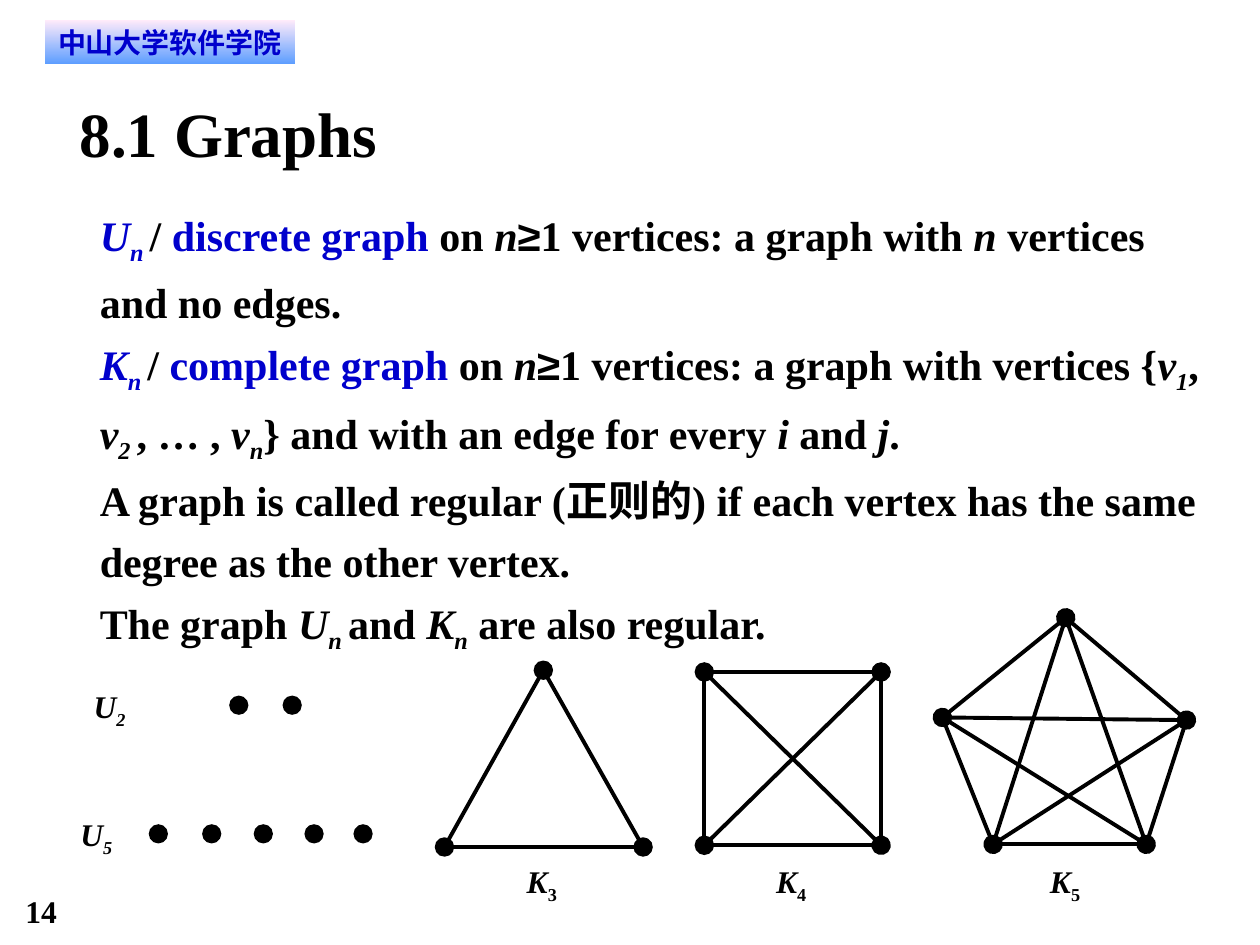
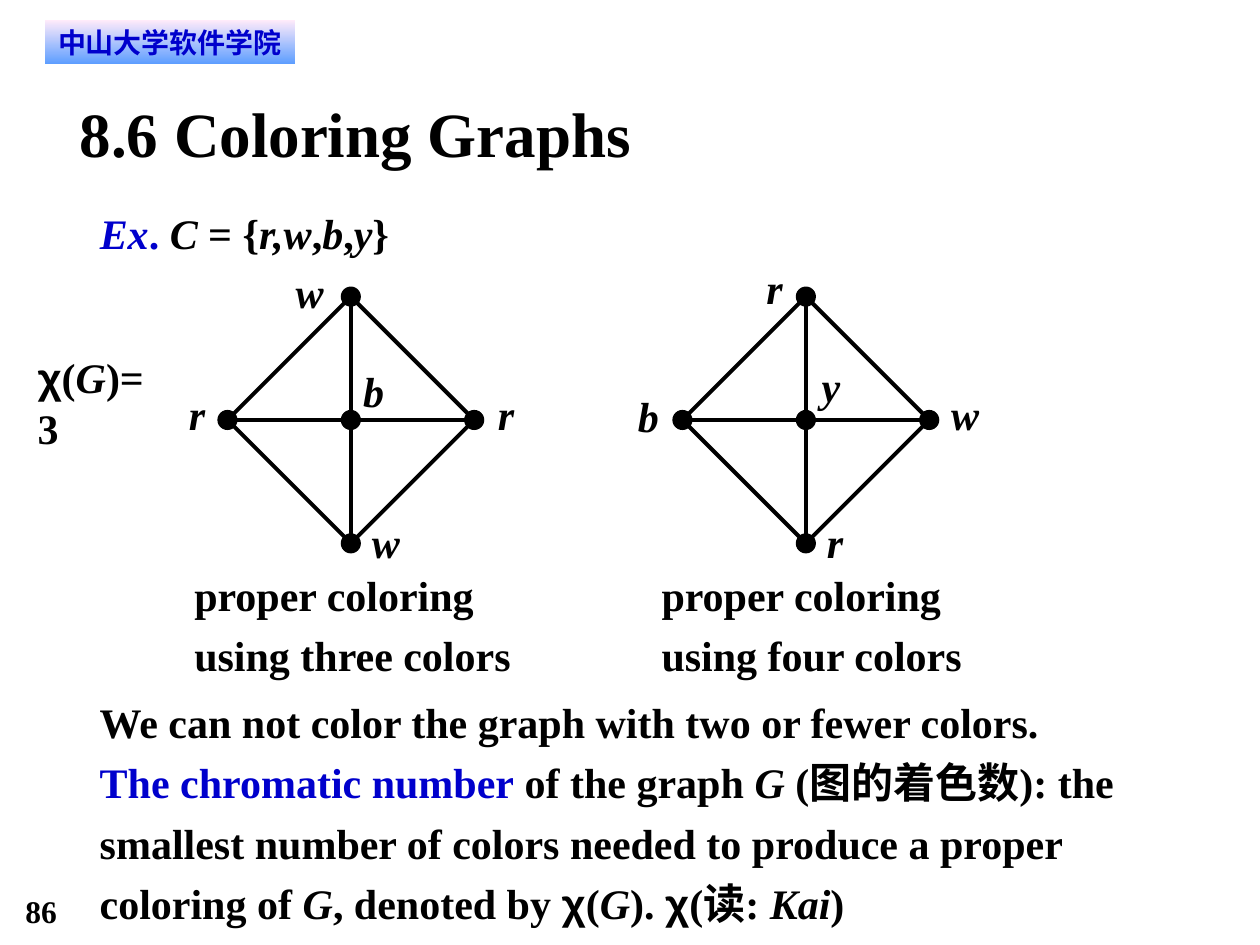
from dataclasses import dataclass
from itertools import combinations
from typing import NamedTuple

from lxml import etree
from pptx import Presentation
from pptx.dml import color
from pptx.enum import shapes, text
from pptx.oxml import ns
from pptx.util import Pt


@dataclass(frozen=True)
class Theme:
    black: color.RGBColor = color.RGBColor(0, 0, 0)
    blue: color.RGBColor = color.RGBColor(0, 0, 0xCC)
    band_top: color.RGBColor = color.RGBColor(0xFF, 0xEB, 0xFA)
    band_bottom: color.RGBColor = color.RGBColor(0x5E, 0x9E, 0xFF)
    serif: str = "Times New Roman"
    symbol: str = "Arial"
    band_font: str = "DejaVu Sans"
    title_size: int = 36
    body_size: int = 24
    small_size: int = 18
    band_size: int = 16
    edge_width: float = 2.25
    spoke_width: float = 2.5


THEME = Theme()


class Box(NamedTuple):
    left: float
    top: float
    width: float
    height: float


class Point(NamedTuple):
    x: float
    y: float


class Run(NamedTuple):
    """Flags: i italic, s subscript, b blue, a symbol font."""
    words: str
    flags: str = ""


class Line(NamedTuple):
    runs: list[Run]
    spacing: float = 1.2
    before: float = 0


class Label(NamedTuple):
    letter: str
    left: float
    top: float


class CompleteGraph(NamedTuple):
    vertices: list[Point]
    order: str
    label_left: float


class DiscreteGraph(NamedTuple):
    order: str
    label_left: float
    label_top: float
    dot_centres: list[float]
    dot_y: float


class Wheel(NamedTuple):
    centre: Point
    labels: list[Label]  # offsets from the centre
    caption: str
    caption_box: Box


# Text
def prepare_frame(shape, box: Box) -> None:
    shape.left, shape.top, shape.width, shape.height = map(Pt, box)
    frame = shape.text_frame
    frame.margin_left = frame.margin_right = frame.margin_top = frame.margin_bottom = 0
    frame.word_wrap = True
    frame.auto_size = text.MSO_AUTO_SIZE.NONE
    frame.vertical_anchor = text.MSO_ANCHOR.TOP


def add_run(paragraph, run: Run) -> None:
    for index, words in enumerate(run.words.split("\n")):
        if index:
            paragraph.add_line_break()
        piece = paragraph.add_run()
        piece.text = words
        if "i" in run.flags:
            piece.font.italic = True
        if "b" in run.flags:
            piece.font.color.rgb = THEME.blue
        if "a" in run.flags:
            piece.font.name = THEME.symbol
        if "s" in run.flags:
            piece._r.get_or_add_rPr().set("baseline", "-25000")


def write_lines(shape, lines: list[Line], size: float = THEME.body_size) -> None:
    frame = shape.text_frame
    for index, line in enumerate(lines):
        paragraph = frame.paragraphs[0] if index == 0 else frame.add_paragraph()
        paragraph.alignment = text.PP_ALIGN.LEFT
        paragraph.line_spacing = line.spacing
        paragraph.space_before = Pt(line.before)
        if shape.is_placeholder:
            properties = paragraph._p.get_or_add_pPr()
            properties.set("marL", "0")
            properties.set("indent", "0")
            etree.SubElement(properties, ns.qn("a:buNone"))
        font = paragraph.font
        font.name, font.size, font.bold = THEME.serif, Pt(size), True
        font.color.rgb = THEME.black
        for run in line.runs:
            add_run(paragraph, run)


def add_text(slide, box: Box, lines: list[Line], size: float = THEME.body_size) -> None:
    shape = slide.shapes.add_textbox(*map(Pt, box))
    prepare_frame(shape, box)
    write_lines(shape, lines, size)


def add_graph_name(slide, name: Run, order: Run, left: float, top: float) -> None:
    add_text(slide, Box(left, top, 22, 24), [Line([name, order], 1)], THEME.small_size)


# Graph parts
def add_dot(slide, centre: Point, diameter: float) -> None:
    radius = diameter / 2
    dot = slide.shapes.add_shape(shapes.MSO_SHAPE.OVAL, Pt(centre.x - radius),
                                 Pt(centre.y - radius), Pt(diameter), Pt(diameter))
    dot.shadow.inherit = False
    dot.fill.solid()
    dot.fill.fore_color.rgb = THEME.black
    dot.line.fill.background()


def add_edge(slide, start: Point, end: Point, width: float = THEME.edge_width,
             caps: tuple[str, ...] = ()) -> None:
    edge = slide.shapes.add_connector(shapes.MSO_CONNECTOR.STRAIGHT, *map(Pt, (*start, *end)))
    edge.line.width = Pt(width)
    edge.line.color.rgb = THEME.black
    properties = edge._element.spPr
    outline = properties.find(ns.qn("a:ln"))
    for cap in caps:
        etree.SubElement(outline, ns.qn(f"a:{cap}"), type="oval", w="lg", len="lg")
    etree.SubElement(properties, ns.qn("a:effectLst"))


def draw_complete(slide, graph: CompleteGraph) -> None:
    # Every pair is joined; each vertex gets its dot from the first edge that meets it
    capped: set[Point] = set()
    for start, end in combinations(graph.vertices, 2):
        caps = tuple(cap for cap, vertex in (("headEnd", start), ("tailEnd", end))
                     if vertex not in capped)
        add_edge(slide, start, end, caps=caps)
        capped.update((start, end))
    add_graph_name(slide, Run("K", "i"), Run(graph.order, "s"), graph.label_left, 492.5)


def draw_discrete(slide, graph: DiscreteGraph) -> None:
    for x in graph.dot_centres:
        add_dot(slide, Point(x, graph.dot_y), 11)
    add_graph_name(slide, Run("U", "i"), Run(graph.order, "is"), graph.label_left, graph.label_top)


def draw_wheel(slide, wheel: Wheel, radius: float = 70.5) -> None:
    x, y = wheel.centre
    top, right = Point(x, y - radius), Point(x + radius, y)
    bottom, left = Point(x, y + radius), Point(x - radius, y)
    rim = [top, right, bottom, left]
    for start, end in zip(rim, rim[1:] + rim[:1]):
        add_edge(slide, start, end)
    for start, end in ((left, right), (top, bottom)):
        add_edge(slide, start, end, THEME.spoke_width)
    for vertex in [*rim, wheel.centre]:
        add_dot(slide, vertex, 11.5)
    for label in wheel.labels:
        add_text(slide, Box(x + label.left, y + label.top, 17, 29),
                 [Line([Run(label.letter, "i")], 1)])
    add_text(slide, wheel.caption_box, [Line([Run(wheel.caption)])])


# Shared slide frame
def add_band(slide) -> None:
    band = slide.shapes.add_shape(shapes.MSO_SHAPE.RECTANGLE, Pt(25.5), Pt(11.5), Pt(143), Pt(25))
    band.shadow.inherit = False
    band.line.fill.background()
    band.fill.gradient()
    band.fill.gradient_angle = 270
    for stop, shade in zip(band.fill.gradient_stops, (THEME.band_top, THEME.band_bottom)):
        stop.color.rgb = shade
    frame = band.text_frame
    frame.margin_left = frame.margin_right = Pt(6)
    frame.margin_top = frame.margin_bottom = Pt(3)
    frame.word_wrap = False
    paragraph = frame.paragraphs[0]
    paragraph.text = "中山大学软件学院"
    paragraph.alignment = text.PP_ALIGN.CENTER
    font = paragraph.font
    font.name, font.size, font.bold = THEME.band_font, Pt(THEME.band_size), True
    font.color.rgb = THEME.blue


def add_slide(presentation, title: str, number: str, body_box: Box, body: list[Line]):
    slide = presentation.slides.add_slide(presentation.slide_layouts[1])
    prepare_frame(slide.shapes.title, Box(45.5, 54, 630, 43))
    write_lines(slide.shapes.title, [Line([Run(title)], 1)], THEME.title_size)
    prepare_frame(slide.placeholders[1], body_box)
    write_lines(slide.placeholders[1], body)
    add_band(slide)
    add_text(slide, Box(14.5, 510, 54, 22), [Line([Run(number)], 1)], THEME.small_size)
    return slide


# Slide contents
def build_graphs(presentation) -> None:
    slide = add_slide(presentation, "8.1 Graphs", "14", Box(57, 113, 636, 261), [
        Line([Run("U", "ib"), Run("n ", "ibs"), Run("/ "), Run("discrete graph", "b"),
              Run(" on "), Run("n", "i"), Run("≥", "a"), Run("1 vertices: a graph with "),
              Run("n", "i"), Run(" vertices and no edges.")]),
        Line([Run("K", "ib"), Run("n ", "ibs"), Run("/ "), Run("complete graph", "b"),
              Run(" on "), Run("n", "i"), Run("≥", "a"),
              Run("1 vertices: a graph with vertices {"), Run("v", "i"), Run("1", "is"),
              Run(", "), Run("v", "i"), Run("2 ", "is"), Run(", … , "), Run("v", "i"),
              Run("n", "is"), Run("} and with an edge for every "), Run("i", "i"),
              Run(" and "), Run("j", "i"), Run(".")]),
        Line([Run("A graph is called regular (正则的) if each vertex has the same degree "
                  "as the other vertex.")]),
        Line([Run("The graph "), Run("U", "i"), Run("n ", "is"), Run("and "), Run("K", "i"),
              Run("n", "is"), Run(" are also regular.")]),
    ])
    for discrete in (
        DiscreteGraph("2", 53.5, 392.5, [136.5, 167], 403),
        DiscreteGraph("5", 46, 466, [90.5, 121, 150.5, 179.5, 207.5], 476.5),
    ):
        draw_discrete(slide, discrete)
    for complete in (
        CompleteGraph([Point(310.5, 383), Point(254, 484), Point(367.5, 484)], "3", 301),
        CompleteGraph([Point(x, y) for x in (402.5, 503.5) for y in (384, 483)], "4", 443.5),
        CompleteGraph([Point(609, 353), Point(678, 411.5), Point(655, 482.5),
                       Point(567.5, 482.5), Point(538.5, 410)], "5", 600),
    ):
        draw_complete(slide, complete)


def build_coloring(presentation) -> None:
    slide = add_slide(presentation, "8.6 Coloring Graphs", "86", Box(57, 113, 607, 35), [
        Line([Run("Ex", "ib"), Run(". ", "b"), Run("C ", "i"), Run("= {"), Run("r,w", "i"),
              Run(","), Run("b", "i"), Run(","), Run("y", "i"), Run("}")]),
    ])
    for wheel in (
        Wheel(Point(200.5, 240),
              [Label("w", -31.5, -88), Label("r", -92.5, -18), Label("b", 7, -31),
               Label("r", 84, -18), Label("w", 12, 55)],
              "proper coloring\nusing three colors", Box(111, 319.5, 190, 70)),
        Wheel(Point(460.5, 240),
              [Label("r", -22.5, -90), Label("b", -96, -17), Label("y", 9, -34),
               Label("w", 83, -18), Label("r", 12, 55)],
              "proper coloring\nusing four colors", Box(378, 319.5, 190, 70)),
    ):
        draw_wheel(slide, wheel)
    add_text(slide, Box(21.5, 201, 72, 58),
             [Line([Run("χ", "a"), Run("("), Run("G", "i"), Run(")=3")], 1)])
    add_text(slide, Box(57, 398, 623, 132.5), [
        Line([Run("We can not color the graph with two or fewer colors.")], 1),
        Line([Run("The chromatic number", "b"), Run(" of the graph "), Run("G ", "i"),
              Run("(图的着色数): the smallest number of colors needed to produce "
                  "a proper coloring of "), Run("G", "i"), Run(", denoted by "),
              Run("χ", "a"), Run("("), Run("G", "i"), Run("). "), Run("χ", "a"),
              Run("(读: "), Run("Kai", "i"), Run(")")]),
    ])


def main() -> None:
    presentation = Presentation()
    presentation.slide_width, presentation.slide_height = Pt(720), Pt(540)
    build_graphs(presentation)
    build_coloring(presentation)
    presentation.save("out.pptx")


if __name__ == "__main__":
    main()
